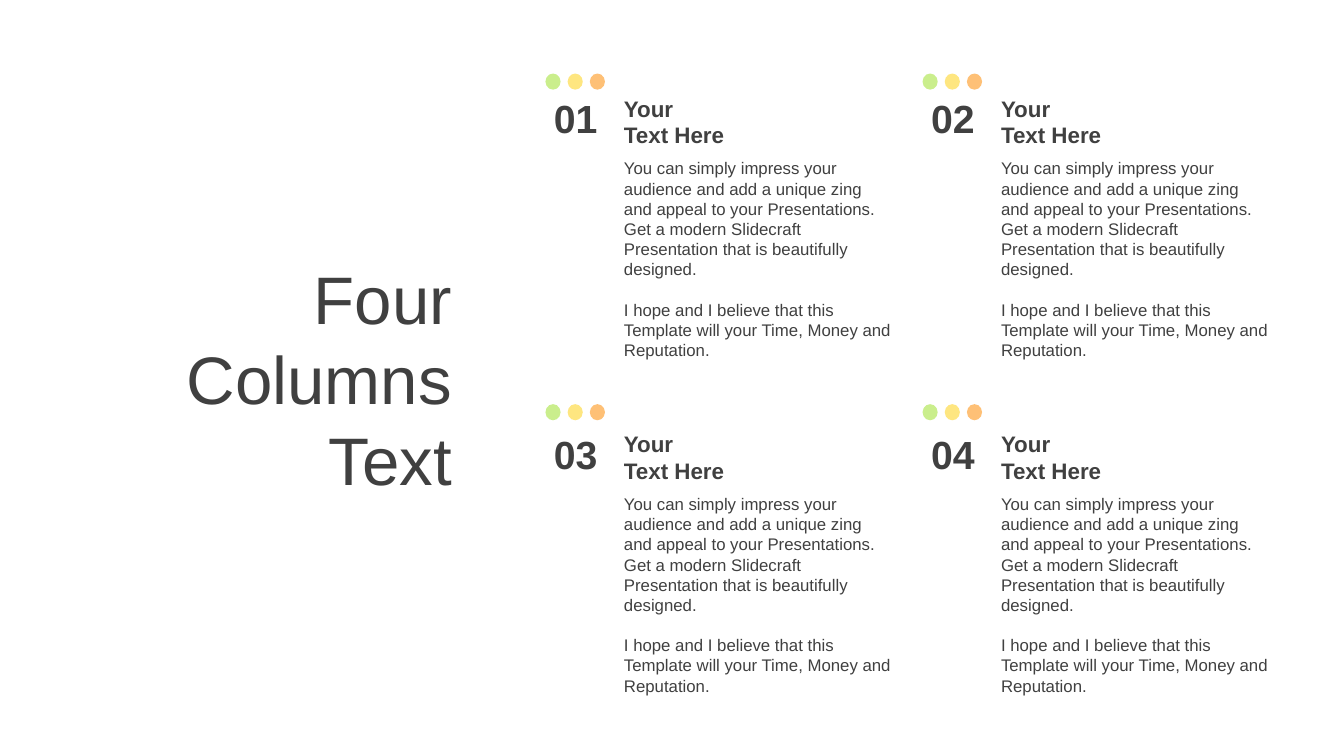
from pptx import Presentation
from pptx.dml.color import RGBColor
from pptx.enum.shapes import MSO_SHAPE as Shape
from pptx.enum.text import MSO_ANCHOR as Anchor, MSO_AUTO_SIZE as AutoSize, PP_ALIGN as Align
from pptx.util import Inches, Pt

COLORS = {"ink": "404040", "green": "CAEE8C", "yellow": "FEE680", "orange": "FEC076"}
COLUMN_LEFTS = (5.38, 9.12)
ROW_TOPS = (0.89, 4.22)
DOT_TOPS = (0.73, 4.01)
DOT_STEP = 0.22
HEADING = ("Your", "Text Here")
BODY = (
    "You can simply impress your audience and add a unique zing and appeal to your "
    "Presentations. Get a modern Slidecraft Presentation that is beautifully designed.",
    "I hope and I believe that this Template will your Time, Money and Reputation.",
)


def add_text(slide, box, paragraphs, *, size, bold=False, align=Align.LEFT,
             anchor=Anchor.TOP, gap=0, fit=AutoSize.SHAPE_TO_FIT_TEXT):
    """Add a wrapped text box with one format for all its paragraphs."""
    frame = slide.shapes.add_textbox(*map(Inches, box)).text_frame
    frame.word_wrap = True
    frame.auto_size = fit
    frame.vertical_anchor = anchor
    for index, wording in enumerate(paragraphs):
        paragraph = frame.add_paragraph() if index else frame.paragraphs[0]
        paragraph.alignment = align
        if index and gap:
            paragraph.space_before = Pt(gap)
        run = paragraph.add_run()
        run.text = wording
        run.font.name = "Arial"
        run.font.size = Pt(size)
        run.font.bold = bold
        run.font.color.rgb = RGBColor.from_string(COLORS["ink"])


def add_dots(slide, left, top):
    """Add a grouped row of three coloured dots."""
    dots = slide.shapes.add_group_shape()
    for index, color in enumerate(("green", "yellow", "orange")):
        box = (left + index * DOT_STEP, top, 0.15, 0.16)
        dot = dots.shapes.add_shape(Shape.OVAL, *map(Inches, box))
        dot.shadow.inherit = False
        dot.fill.solid()
        dot.fill.fore_color.rgb = RGBColor.from_string(COLORS[color])
        dot.line.fill.background()


def add_column(slide, number, left, top, dot_top):
    """Add one numbered column with its dots, heading and body."""
    text_left = left + 0.71
    add_dots(slide, left + 0.03, dot_top)
    add_text(slide, (left, top, 0.66, 0.57), [f"{number:02d}"],
             size=28, bold=True, align=Align.CENTER)
    add_text(slide, (text_left, top, 2.88, 0.64), HEADING, size=16, bold=True)
    add_text(slide, (text_left, top + 0.63, 2.88, 1.92), BODY, size=12, gap=14.4)


def main():
    """Build the slide and save it."""
    deck = Presentation()
    deck.slide_width, deck.slide_height = Inches(13.33), Inches(7.5)
    slide = deck.slides.add_slide(deck.slide_layouts[6])
    add_text(slide, (1.63, 2.45, 2.95, 2.6), ["Four Columns Text"], size=48,
             align=Align.RIGHT, anchor=Anchor.MIDDLE, fit=AutoSize.NONE)
    for row, (top, dot_top) in enumerate(zip(ROW_TOPS, DOT_TOPS)):
        for column, left in enumerate(COLUMN_LEFTS):
            add_column(slide, row * 2 + column + 1, left, top, dot_top)
    deck.save("out.pptx")


if __name__ == "__main__":
    main()
